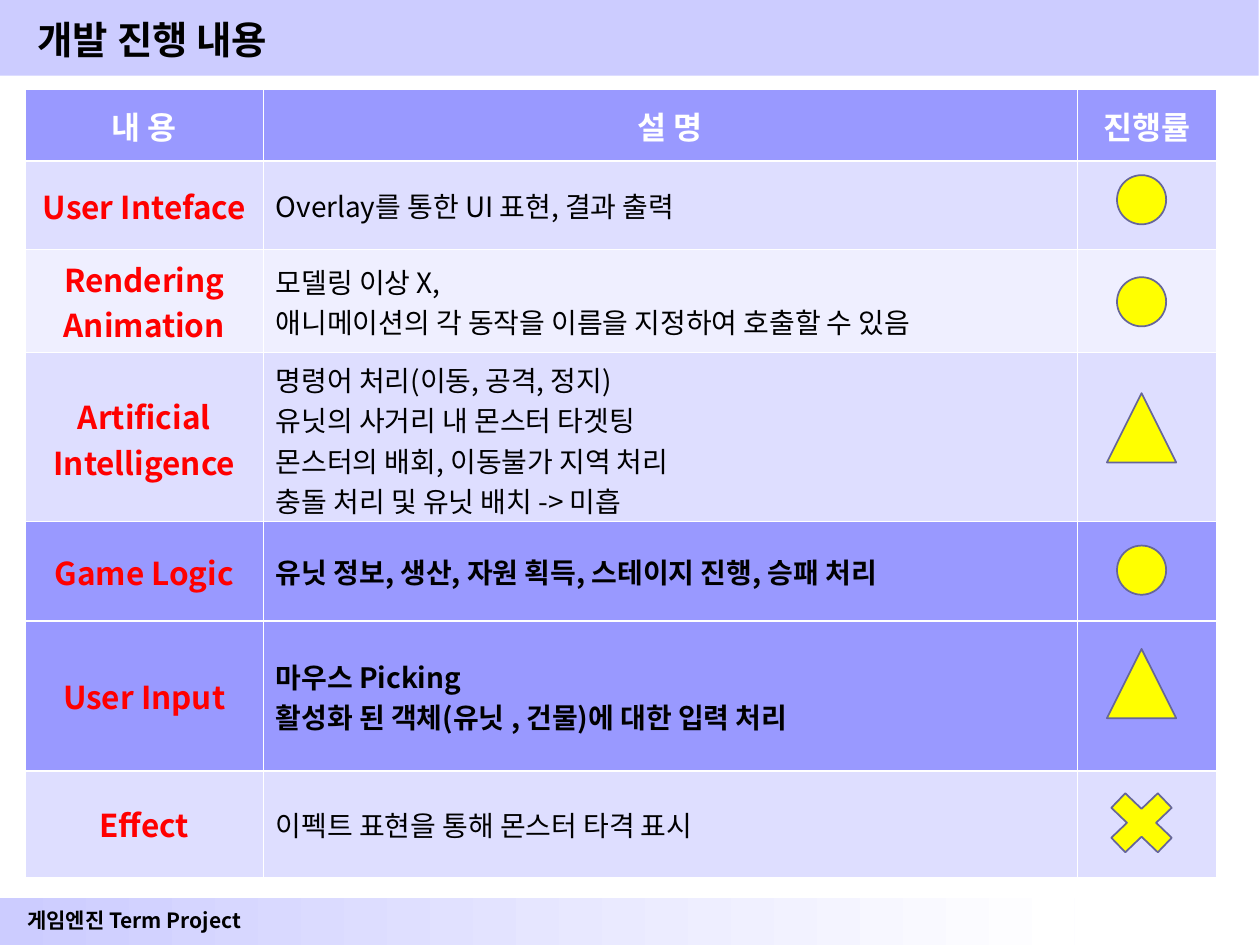
"""Build the slide that reports development progress of a game project."""
from lxml import etree
from pptx import Presentation, util as u
from pptx.dml.color import RGBColor
from pptx.enum import shapes, text
from pptx.oxml.ns import qn


class Theme:
    font = "Noto Sans CJK KR"
    black, white, red = "000000", "FFFFFF", "FF0000"
    bar, deep, mid, pale = "CCCCFF", "9999FF", "DEDEFF", "EFEFFF"
    mark, edge = "FFFF00", "666699"
    title, head, body, foot = 22, 18, 16, 12
    thin, thick = 0.45, 1.47


def write(frame, lines, size, color, bold=True, align=text.PP_ALIGN.CENTER):
    for i, line in enumerate(lines):
        para = frame.paragraphs[0] if i == 0 else frame.add_paragraph()
        para.alignment = align
        run = para.add_run()
        run.text = line
        run.font.size = u.Pt(size)
        run.font.bold = bold
        run.font.color.rgb = RGBColor.from_string(color)
        run.font.name = Theme.font
        etree.SubElement(run.font._element, qn("a:ea"), typeface=Theme.font)


def border(cell, side, width):
    line = etree.SubElement(cell._tc.get_or_add_tcPr(), qn("a:ln" + side), w=str(u.Pt(width)))
    fill = etree.SubElement(line, qn("a:solidFill"))
    etree.SubElement(fill, qn("a:srgbClr"), val=Theme.white)


deck = Presentation()
deck.slide_width, deck.slide_height = u.Inches(10), u.Inches(7.5)
slide = deck.slides.add_slide(deck.slide_layouts[6])
kind = shapes.MSO_SHAPE
left = text.PP_ALIGN.LEFT

for top, wide, high in [(7.13, 8.53, 0.38), (0, 9.99, 0.6)]:
    bar = slide.shapes.add_shape(kind.RECTANGLE, 0, u.Inches(top), u.Inches(wide), u.Inches(high))
    bar.shadow.inherit = False
    bar.line.fill.background()
    if top:
        bar.fill.gradient()
        bar.fill.gradient_angle = 0
        for stop, color in zip(bar.fill.gradient_stops, (Theme.bar, Theme.white)):
            stop.color.rgb = RGBColor.from_string(color)
    else:
        bar.fill.solid()
        bar.fill.fore_color.rgb = RGBColor.from_string(Theme.bar)

foot = slide.shapes.add_textbox(u.Inches(0.04), u.Inches(7.15), u.Inches(2.05), u.Inches(0.3))
foot.text_frame.word_wrap = False
write(foot.text_frame, ["게임엔진 Term Project"], Theme.foot, Theme.black)

title = slide.shapes.add_textbox(u.Inches(0.2), u.Inches(0.05), u.Inches(9.69), u.Inches(0.52))
title.text_frame.word_wrap = True
title.text_frame.vertical_anchor = text.MSO_ANCHOR.MIDDLE
write(title.text_frame, ["개발 진행 내용"], Theme.title, Theme.black, align=left)

cols = [1.89, 6.46, 1.1]
tables = [
    (0.71, [
        (0.57, Theme.deep, ["내 용"], ["설 명"], ["진행률"]),
        (0.7, Theme.mid, ["User Inteface"], ["Overlay를 통한 UI 표현, 결과 출력"], []),
        (0.82, Theme.pale, ["Rendering", "Animation"],
         ["모델링 이상 X,", "애니메이션의 각 동작을 이름을 지정하여 호출할 수 있음"], []),
        (1.37, Theme.mid, ["Artificial Intelligence"],
         ["명령어 처리(이동, 공격, 정지)", "유닛의 사거리 내 몬스터 타겟팅",
          "몬스터의 배회, 이동불가 지역 처리", "충돌 처리 및 유닛 배치 -> 미흡"], []),
    ]),
    (4.14, [
        (0.79, Theme.deep, ["Game Logic"],
         ["유닛 정보, 생산, 자원 획득, 스테이지 진행, 승패 처리"], []),
        (0.79, Theme.mid, [], [], []),
    ]),
    (4.93, [
        (1.19, Theme.deep, ["User Input"],
         ["마우스 Picking", "활성화 된 객체(유닛 , 건물)에 대한 입력 처리"], []),
        (0.84, Theme.mid, ["Effect"], ["이펙트 표현을 통해 몬스터 타격 표시"], []),
    ]),
]

for top, rows in tables:
    high = sum(row[0] for row in rows)
    grid = slide.shapes.add_table(len(rows), len(cols), u.Inches(0.2), u.Inches(top),
                                  u.Inches(sum(cols)), u.Inches(high)).table
    grid.first_row = grid.horz_banding = False
    for col, wide in zip(grid.columns, cols):
        col.width = u.Inches(wide)
    for r, (high, shade, *cells) in enumerate(rows):
        grid.rows[r].height = u.Inches(high)
        for c, lines in enumerate(cells):
            cell = grid.cell(r, c)
            cell.vertical_anchor = text.MSO_ANCHOR.MIDDLE
            for side in "LRTB":
                heavy = (r, side) in [(0, "B"), (1, "T")]
                border(cell, side, Theme.thick if heavy else Theme.thin)
            cell.fill.solid()
            cell.fill.fore_color.rgb = RGBColor.from_string(shade)
            if len(cells[2]):
                write(cell.text_frame, lines, Theme.head, Theme.white)
            elif c == 1:
                write(cell.text_frame, lines, Theme.body, Theme.black, shade == Theme.deep, left)
            else:
                write(cell.text_frame, lines, Theme.head, Theme.red)

sizes = {kind.OVAL: (0.39, 0.39), kind.ISOSCELES_TRIANGLE: (0.55, 0.55),
         kind.MATH_MULTIPLY: (0.71, 0.68)}
marks = [(kind.OVAL, 1.39), (kind.OVAL, 2.2), (kind.ISOSCELES_TRIANGLE, 3.12),
         (kind.OVAL, 4.33), (kind.ISOSCELES_TRIANGLE, 5.15), (kind.MATH_MULTIPLY, 6.19)]
mid = 9.06
for form, top in marks:
    wide, high = sizes[form]
    mark = slide.shapes.add_shape(form, u.Inches(mid - wide / 2), u.Inches(top),
                                  u.Inches(wide), u.Inches(high))
    mark.shadow.inherit = False
    mark.fill.solid()
    mark.fill.fore_color.rgb = RGBColor.from_string(Theme.mark)
    mark.line.color.rgb = RGBColor.from_string(Theme.edge)
    mark.line.width = u.Pt(1)

deck.save("out.pptx")
